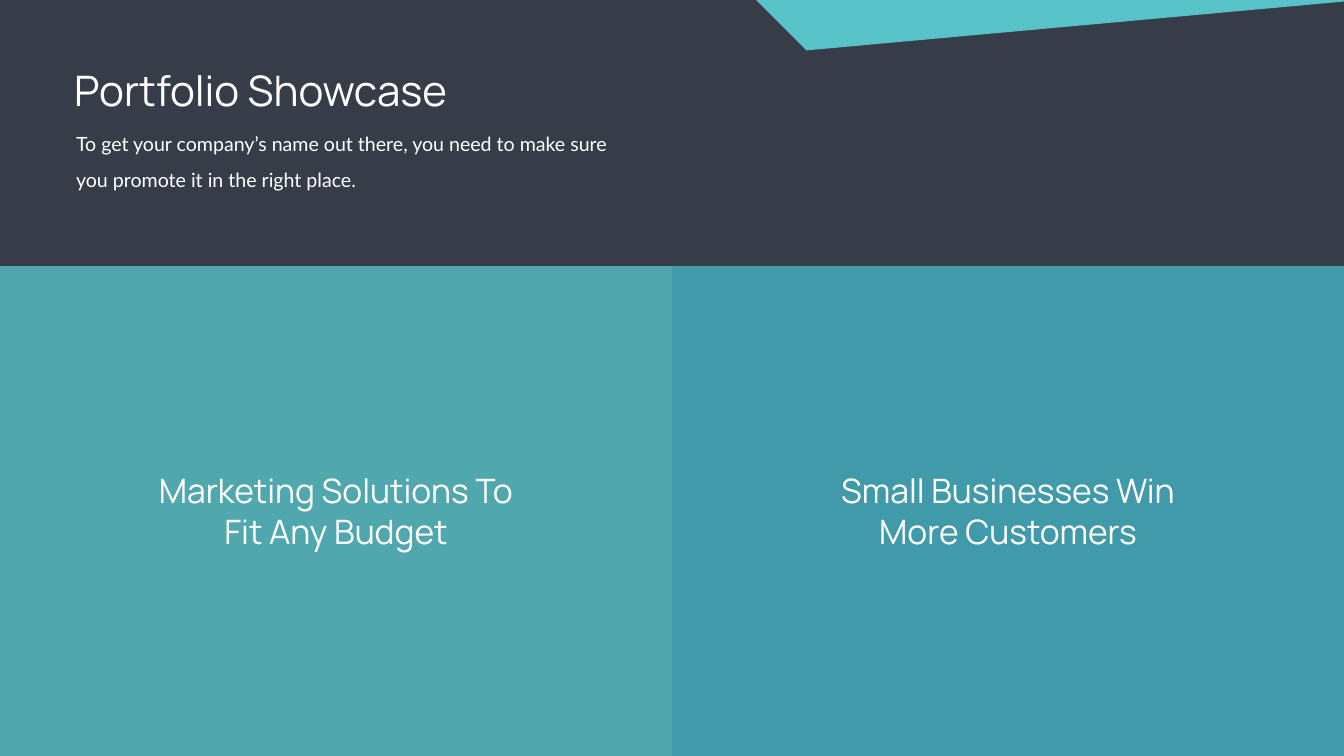
from lxml import etree
from pptx import Presentation
from pptx.dml.color import RGBColor
from pptx.enum.shapes import MSO_SHAPE
from pptx.enum.text import MSO_AUTO_SIZE, PP_ALIGN
from pptx.oxml.ns import qn
from pptx.util import Inches, Pt

RECTANGLE = MSO_SHAPE.RECTANGLE
GROW = MSO_AUTO_SIZE.SHAPE_TO_FIT_TEXT
LEFT, CENTER = PP_ALIGN.LEFT, PP_ALIGN.CENTER

WIDTH, HEIGHT = 26.66, 15
COLUMN = WIDTH / 2
PANEL_TOP = 5.28
CAPTION_WIDTH, CAPTION_HEIGHT, CAPTION_TOP = 7.69, 1.72, 9.28

DARK, TEAL, BLUE, WHITE = "363D48", "57C3C8", "43B2C2", "FFFFFF"
PANELS = [
    ("Marketing Solutions To Fit Any Budget", TEAL),
    ("Small Businesses Win More Customers", BLUE),
]


def paint(fill, color, opacity=100):
    """Set a solid fill, with opacity in percent."""
    fill.solid()
    fill.fore_color.rgb = RGBColor.from_string(color)
    if opacity < 100:
        color_element = fill._xPr.find(qn("a:solidFill"))[0]
        etree.SubElement(color_element, qn("a:alpha"), val=str(opacity * 1000))


def finish(shape, color, opacity=100):
    """Give a shape its fill, without outline or shadow."""
    shape.shadow.inherit = False
    shape.line.fill.background()
    paint(shape.fill, color, opacity)


def add_text(page, text, left, top, width, height, *, font, size,
             align=LEFT, spacing=None):
    box = page.shapes.add_textbox(*map(Inches, (left, top, width, height)))
    frame = box.text_frame
    frame.word_wrap = True
    frame.auto_size = GROW
    para = frame.paragraphs[0]
    para.alignment = align
    if spacing:
        para.line_spacing = spacing
    span = para.add_run()
    span.text = text
    span.font.name = font
    span.font.size = Pt(size)
    span.font.color.rgb = RGBColor.from_string(WHITE)


def add_panel(page, column, color):
    panel = page.shapes.add_shape(
        RECTANGLE, Inches(column * COLUMN), Inches(PANEL_TOP),
        Inches(COLUMN), Inches(HEIGHT - PANEL_TOP))
    finish(panel, color, opacity=80)


def add_caption(page, column, text):
    left = column * COLUMN + (COLUMN - CAPTION_WIDTH) / 2
    add_text(page, text, left, CAPTION_TOP, CAPTION_WIDTH, CAPTION_HEIGHT,
             font="Manrope", size=48, align=CENTER)


def add_top_band(page):
    """Draw the band that steps down to a thicker right part."""
    builder = page.shapes.build_freeform(0, 0.02, scale=Inches(1))
    builder.add_line_segments([
        (WIDTH, 0.02), (WIDTH, 0.5), (15.76, 0.51), (15.28, 0.26), (0, 0.26)])
    finish(builder.convert_to_shape(), TEAL)


def main():
    deck = Presentation()
    deck.slide_width, deck.slide_height = Inches(WIDTH), Inches(HEIGHT)
    page = deck.slides.add_slide(deck.slide_layouts[6])
    paint(page.background.fill, DARK)

    for column, (_, color) in enumerate(PANELS):
        add_panel(page, column, color)
    add_text(page, "Portfolio Showcase", 1.37, 1.23, 13.95, 1.11,
             font="Manrope", size=60)
    add_text(page, "To get your company’s name out there, you need to make "
             "sure you promote it in the right place.",
             1.41, 2.34, 11.21, 1.42, font="Lato", size=28, spacing=1.5)
    add_top_band(page)
    for column, (text, _) in enumerate(PANELS):
        add_caption(page, column, text)

    deck.save("out.pptx")


if __name__ == "__main__":
    main()
